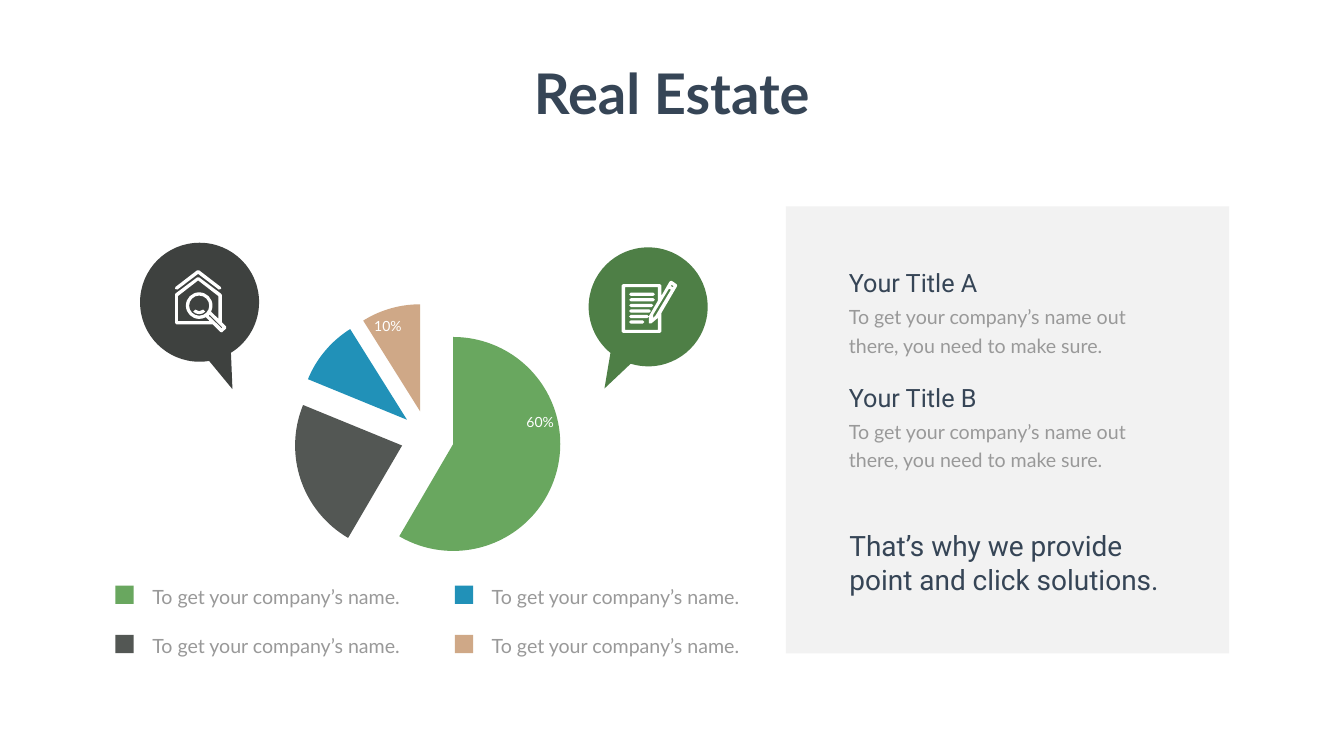
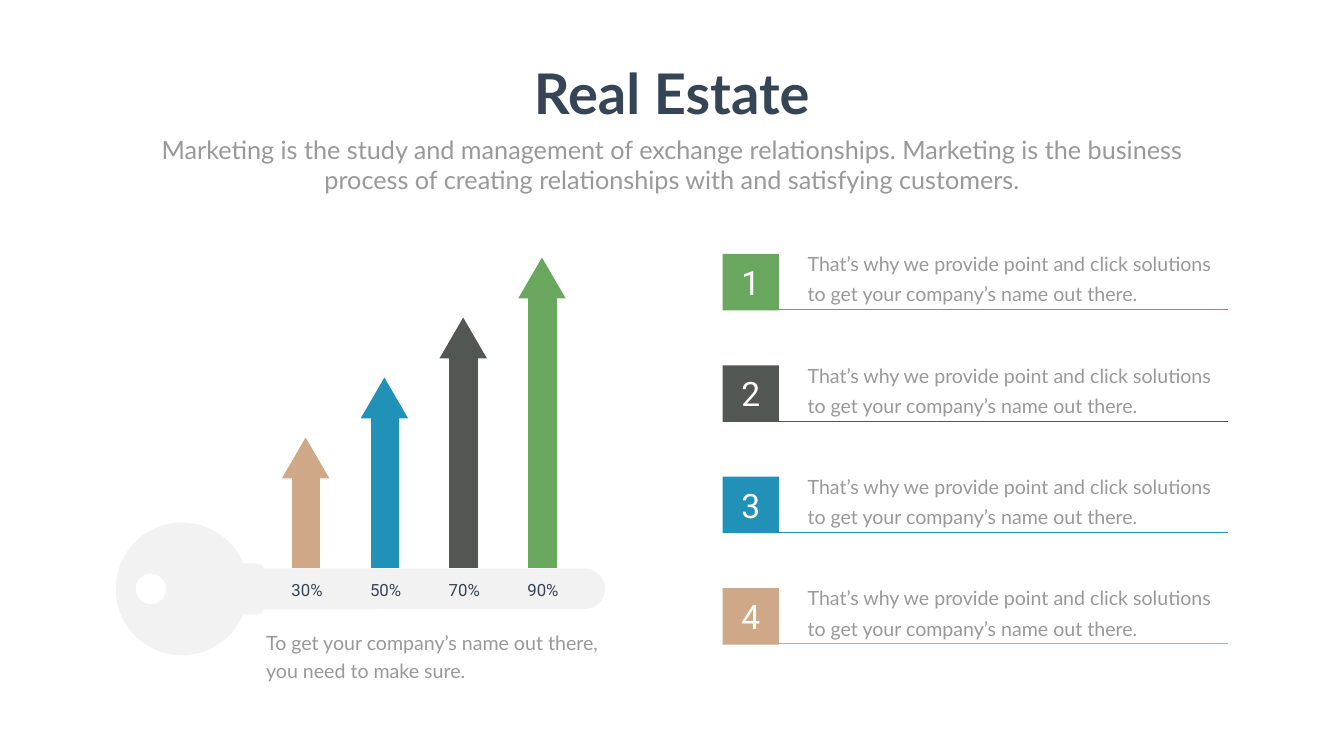
import math

import pptx
import pptx.chart.data
import pptx.dml.color
import pptx.enum.chart
import pptx.enum.shapes
import pptx.enum.text
import pptx.oxml
import pptx.oxml.ns
import pptx.util

Pt = pptx.util.Pt
qn = pptx.oxml.ns.qn
SHAPES = pptx.enum.shapes.MSO_SHAPE
CHARTS = pptx.enum.chart.XL_CHART_TYPE
CENTER = pptx.enum.text.PP_ALIGN.CENTER
MIDDLE = pptx.enum.text.MSO_ANCHOR.MIDDLE
GROW = pptx.enum.text.MSO_AUTO_SIZE.SHAPE_TO_FIT_TEXT

COLORS = {
    "green": "69A75F", "gray": "535754", "blue": "2191B8", "tan": "CFA887",
    "charcoal": "3E413F", "forest": "4E7F46", "veil": "808080",
    "navy": "364556", "text": "999999", "white": "FFFFFF",
}
SERIES = ["green", "gray", "blue", "tan"]
RISING = ["tan", "blue", "gray", "green"]
NAME_LINE = "To get your company’s name."
NAME_TEXT = "To get your company’s name out there, you need to make sure."
CLICK_TEXT = "That’s why we provide point and click solutions"


def arc(center, radius, start, end):
    low, high = sorted((start, end))
    quarters = [a for a in range(-360, 721, 90) if low < a < high]
    stops = sorted([low, *quarters, high], reverse=end < start)

    def spot(degrees, tangent=0):
        a = math.radians(degrees)
        return (center[0] + radius * (math.cos(a) - tangent * math.sin(a)),
                center[1] + radius * (math.sin(a) + tangent * math.cos(a)))

    curve = [spot(start)]
    for first, last in zip(stops, stops[1:]):
        reach = 4 / 3 * math.tan(math.radians(last - first) / 4)
        curve.append((spot(first, reach), spot(last, -reach), spot(last)))
    return curve


def capsule(left, top, width, height):
    radius = height / 2
    middle = top + radius
    return (arc((left + radius, middle), radius, 90, 270)
            + arc((left + width - radius, middle), radius, -90, 90))


def angle(center, point):
    return math.degrees(math.atan2(point[1] - center[1], point[0] - center[0]))


class Designer:
    def __init__(self):
        self.deck = pptx.Presentation()
        self.deck.slide_width = Pt(1919.52)
        self.deck.slide_height = Pt(1080)
        self.page = None

    def new_page(self):
        self.page = self.deck.slides.add_slide(self.deck.slide_layouts[6])

    def title(self):
        self.text("Real Estate", 749.5, 80.6, 420, 104.4, size=80, color="navy",
                  bold=True, align=CENTER, wrap=False)

    def rgb(self, name):
        return pptx.dml.color.RGBColor.from_string(COLORS[name])

    def paint(self, shape, color, opacity=100):
        shape.shadow.inherit = False
        shape.fill.solid()
        shape.fill.fore_color.rgb = self.rgb(color)
        shape.line.fill.background()
        if opacity < 100:
            value = next(shape._element.spPr.iter(qn("a:srgbClr")))
            value.append(value.makeelement(qn("a:alpha"), {"val": str(opacity * 1000)}))

    def shape(self, kind, left, top, width, height, color, opacity=100):
        shape = self.page.shapes.add_shape(kind, Pt(left), Pt(top), Pt(width), Pt(height))
        self.paint(shape, color, opacity)

    def outline(self, color, *contours, origin=(0, 0), opacity=100):
        builder, sizes = None, []
        for contour in contours:
            steps = [step if isinstance(step[0], tuple) else (step,) for step in contour]
            sizes += [len(step) for step in steps[1:]]
            points = [(Pt(origin[0] + x), Pt(origin[1] + y)) for step in steps for x, y in step]
            if builder is None:
                builder = self.page.shapes.build_freeform(*points[0], scale=1.0)
            else:
                builder.move_to(*points[0])
            builder.add_line_segments(points[1:], close=False)
            builder.add_line_segments([], close=True)
        shape = builder.convert_to_shape()
        self.bend(shape, sizes)
        self.paint(shape, color, opacity)

    def bend(self, shape, sizes):
        segments = iter(list(shape._element.spPr.iter(qn("a:lnTo"))))
        for size in sizes:
            group = [next(segments) for _ in range(size)]
            if size == 3:
                curve = group[0].makeelement(qn("a:cubicBezTo"), {})
                group[0].addprevious(curve)
                for segment in group:
                    curve.append(segment[0])
                    segment.getparent().remove(segment)

    def line(self, start, end, color, weight):
        line = self.page.shapes.add_connector(
            pptx.enum.shapes.MSO_CONNECTOR.STRAIGHT, *[Pt(v) for v in (*start, *end)])
        line.line.color.rgb = self.rgb(color)
        line.line.width = Pt(weight)
        properties = line._element.spPr
        properties.append(properties.makeelement(qn("a:effectLst"), {}))

    def text(self, words, left, top, width, height, size=28, font="Lato", color="text",
             bold=False, align=None, anchor=None, spacing=None, inset=(7.2, 3.6), wrap=True):
        box = self.page.shapes.add_textbox(Pt(left), Pt(top), Pt(width), Pt(height))
        frame = box.text_frame
        frame.word_wrap = wrap
        frame.auto_size = GROW
        frame.margin_left = frame.margin_right = Pt(inset[0])
        frame.margin_top = frame.margin_bottom = Pt(inset[1])
        frame.vertical_anchor = anchor
        frame.text = words
        para = frame.paragraphs[0]
        para.alignment = align
        if spacing:
            para.line_spacing = Pt(spacing)
        for span in para.runs:
            span.font.size = Pt(size)
            span.font.name = font
            span.font.bold = bold
            span.font.color.rgb = self.rgb(color)

    def chart(self, kind, left, top, width, height, values, colors, layout):
        data = pptx.chart.data.CategoryChartData()
        data.categories = [str(i + 1) for i in range(len(values))]
        data.add_series("Series 1", values)
        chart = self.page.shapes.add_chart(
            kind, Pt(left), Pt(top), Pt(width), Pt(height), data).chart
        chart.has_title = False
        chart.has_legend = False
        chart.font.size = Pt(18)
        chart.font.name = "Calibri"
        chart.font.color.rgb = self.rgb("text")
        plot = chart.plots[0]
        plot.vary_by_categories = False
        for i, color in enumerate(colors):
            fill = plot.series[0].points[i].format.fill
            fill.solid()
            fill.fore_color.rgb = self.rgb(color)
        self.place_plot(chart, layout)
        return chart

    def place_plot(self, chart, layout):
        area = chart._chartSpace.chart.plotArea
        for old in area.findall(qn("c:layout")):
            area.remove(old)
        tags = ["xMode", "yMode", "x", "y", "w", "h"]
        values = ["edge", "edge", *layout]
        parts = "".join(f'<c:{tag} val="{value}"/>' for tag, value in zip(tags, values))
        area.insert(0, pptx.oxml.parse_xml(
            f'<c:layout {pptx.oxml.ns.nsdecls("c")}><c:manualLayout>'
            f'<c:layoutTarget val="inner"/>{parts}</c:manualLayout></c:layout>'))

    def bubble(self, color, center, radius, first, tip, last):
        start, end = angle(center, first), angle(center, last)
        self.outline(color, arc(center, radius, start, end + 360) + [tip])

    def house_icon(self, origin):
        lens = (-0.5, 4.8)
        roof = [(-31.5, -18.2), (-2, -40.5), (27.5, -18.2), (31, -19), (30.4, -21.8),
                (-0.5, -45.6), (-3.5, -45.6), (-34.4, -21.8), (-35, -19)]
        wall = [(31.8, 28.6), (31.8, -10.5), (30.4, -12.5), (-0.5, -35.5), (-3.5, -35.5),
                (-34.4, -12.5), (-35, -10.5), (-35, 29.5), (-33, 31.5), (18.8, 31.5),
                (29.6, 42.3), (32, 43), (38, 37.5), (38, 34.5)]
        room = [(-30.8, 27.1), (-30.8, -8.9), (-2, -31.2), (26.8, -8.9), (26.8, 23.5),
                *arc(lens, 19, 27, -300), (14.5, 27.1)]
        handle = [(13, 19.2), (14.5, 17.8), (32.5, 35.8), (31.8, 37.2)]
        glint = arc(lens, 12.2, 45, 135) + arc(lens, 8, 135, 45)
        self.outline("white", roof, origin=origin)
        self.outline("white", wall, room, arc(lens, 14.4, 0, 360), handle, origin=origin)
        self.outline("white", glint, origin=origin)

    def contract_icon(self, origin):
        sheet = [(40.5, -32.5), (34, -37), (32, -37), (30.5, -36), (19, -16), (19, -30.5),
                 (17, -32.5), (-36, -32.5), (-38, -30.5), (-38, 35), (-36, 37), (17, 37),
                 (19, 35), (19, 8.5), (41.5, -30)]
        paper = [(-32.9, 33), (-32.9, -28.2), (13.9, -28.2), (13.9, -8.8), (0.9, 13.6),
                 (0.9, 23.6), (4.5, 23.6), (13.9, 15.7), (13.9, 33)]
        pen_cap = [(35.5, -28.2), (32.6, -29.6), (33.3, -31.8), (36.2, -29.6)]
        pen_body = [(10.3, 12.8), (6.7, 15.7), (7.4, 10.7), (29.7, -26), (32.6, -24.6)]
        lines = [capsule(-27.1, -20.3 + 7.92 * i, width, 4.7)
                 for i, width in enumerate([36.7, 36.7, 34.5, 31, 28, 21.6])]
        for i in (0, 1, 5):
            self.outline("white", lines[i], origin=origin)
        self.outline("white", sheet, paper, pen_cap, pen_body, *lines[2:5], origin=origin)

    def key(self):
        head, hole, tip = (260, 841.3), (215.5, 841.3), (835.2, 841.3)
        body = (arc(head, 94.7, 22.5, 337.5)
                + arc((367.5, 814.5), 9.5, -90, -15)
                + arc(tip, 28.8, -90, 90)
                + arc((367.5, 868.1), 9.5, 15, 90))
        self.outline("veil", arc(hole, 21.8, 0, 360), body, opacity=10)


def build_pie_page(design):
    design.new_page()
    chart = design.chart(CHARTS.PIE, 241.2, 415.4, 739.4, 425.5, [59, 23, 10, 9], SERIES,
                         [0.029, 0.042, 0.941, 0.898])
    series = chart.plots[0].series[0]._element
    series.find(qn("c:tx")).addnext(pptx.oxml.parse_xml(
        f'<c:explosion {pptx.oxml.ns.nsdecls("c")} val="25"/>'))

    house, contract = (285, 431.8), (925.7, 438.4)
    design.bubble("charcoal", house, 85, (298.8, 516.2), (332, 556), (329.8, 504))
    design.bubble("forest", contract, 85, (872, 504), (863.3, 555), (900.7, 519.8))
    for label, left, top in [("60%", 726.5, 590.4), ("10%", 509, 454)]:
        design.text(label, left, top, 90, 24.5, size=20, color="white", align=CENTER,
                    inset=(0, 0))

    for i, color in enumerate(["green", "blue", "gray", "tan"]):
        row, column = divmod(i, 2)
        left, top = 164.9 + 484.8 * column, 836.6 + 70.4 * row
        design.text(NAME_LINE, left + 35.3, top - 16.6, 403.2, 54, spacing=40.8,
                    inset=(17.28, 8.64))
        design.shape(SHAPES.RECTANGLE, left, top, 26, 26, color)
    design.contract_icon(contract)
    design.house_icon(house)

    design.shape(SHAPES.RECTANGLE, 1122.5, 295, 632.9, 638.6, "veil", opacity=10)
    for i, letter in enumerate("AB"):
        top = 378.7 + 163.8 * i
        design.text(NAME_TEXT, 1205.3, top + 46.1, 440.6, 85.7, spacing=40.8)
        design.text(f"Your Title {letter}", 1205.3, top, 411.8, 51.1, size=36,
                    font="Roboto", color="navy")
    design.text(f"{CLICK_TEXT}.", 1206, 752, 461.5, 104.4, size=40, font="Roboto",
                color="navy")
    design.title()


def build_arrow_page(design):
    design.new_page()
    chart = design.chart(CHARTS.COLUMN_STACKED, 368.6, 366.5, 471.6, 466.6,
                         [33, 56, 78, 100], RISING, [0.026, 0.034, 0.955, 0.92])
    chart.plots[0].gap_width = 175
    chart.plots[0].overlap = 100
    chart.category_axis.visible = False
    chart.value_axis.visible = False
    chart.value_axis.has_major_gridlines = False
    chart.value_axis.minimum_scale = 0
    chart.value_axis.maximum_scale = 110
    design.key()
    for i, color in enumerate(RISING):
        design.shape(SHAPES.ISOSCELES_TRIANGLE, 402.7 + 112.5 * i, 625 - 85.7 * i,
                     67.7, 58.3, color)
    for i, share in enumerate(["30%", "50%", "70%", "90%"]):
        design.text(share, 398.2 + 112.3 * i, 825.1, 80.6, 36, size=24, font="Roboto",
                    color="navy", align=CENTER, anchor=MIDDLE)

    left, step = 1032, 159.12
    for i, color in enumerate(SERIES):
        top = 362.8 + step * i
        design.shape(SHAPES.RECTANGLE, left, top, 80.6, 80.6, color)
        design.text(str(i + 1), left + 8.3, top + 7.5, 64, 65.5, size=48, font="Roboto",
                    color="white", align=CENTER)
        design.text(f"{CLICK_TEXT} to get your company’s name out there.", 1146.4,
                    top - 15.4, 607.7, 90, spacing=43)
    for i, color in enumerate(SERIES):
        height = 442.1 + step * i
        design.line((left, height), (1753.9, height), color, 0.5)
    design.text(NAME_TEXT, 373, 889.9, 524.9, 85.7, spacing=40.8)
    design.title()
    design.text("Marketing is the study and management of exchange relationships. Marketing "
                "is the business process of creating relationships with and satisfying "
                "customers.", 210.2, 187.9, 1499, 94.3, size=36, align=CENTER)


def main():
    design = Designer()
    build_pie_page(design)
    build_arrow_page(design)
    design.deck.save("out.pptx")


if __name__ == "__main__":
    main()
